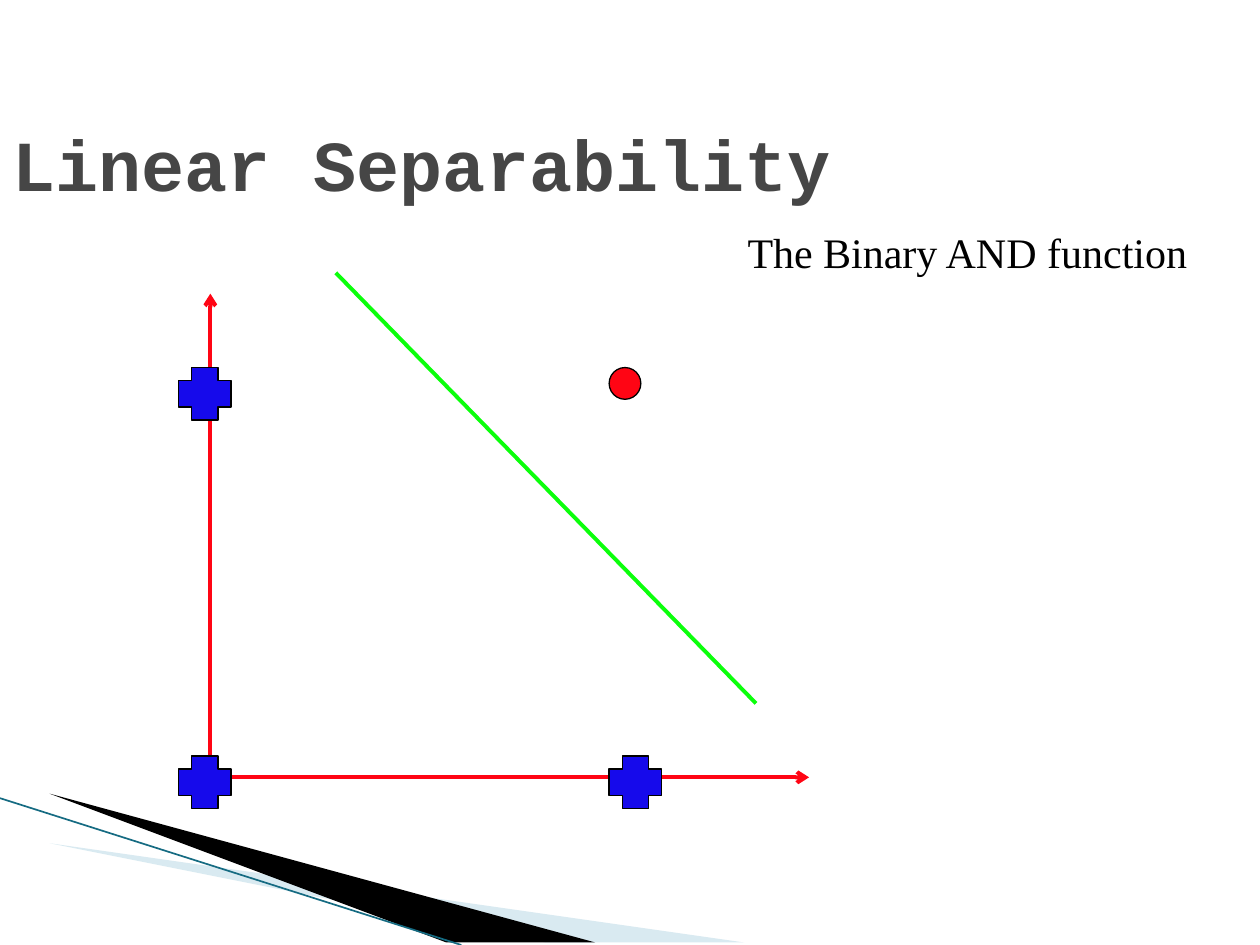
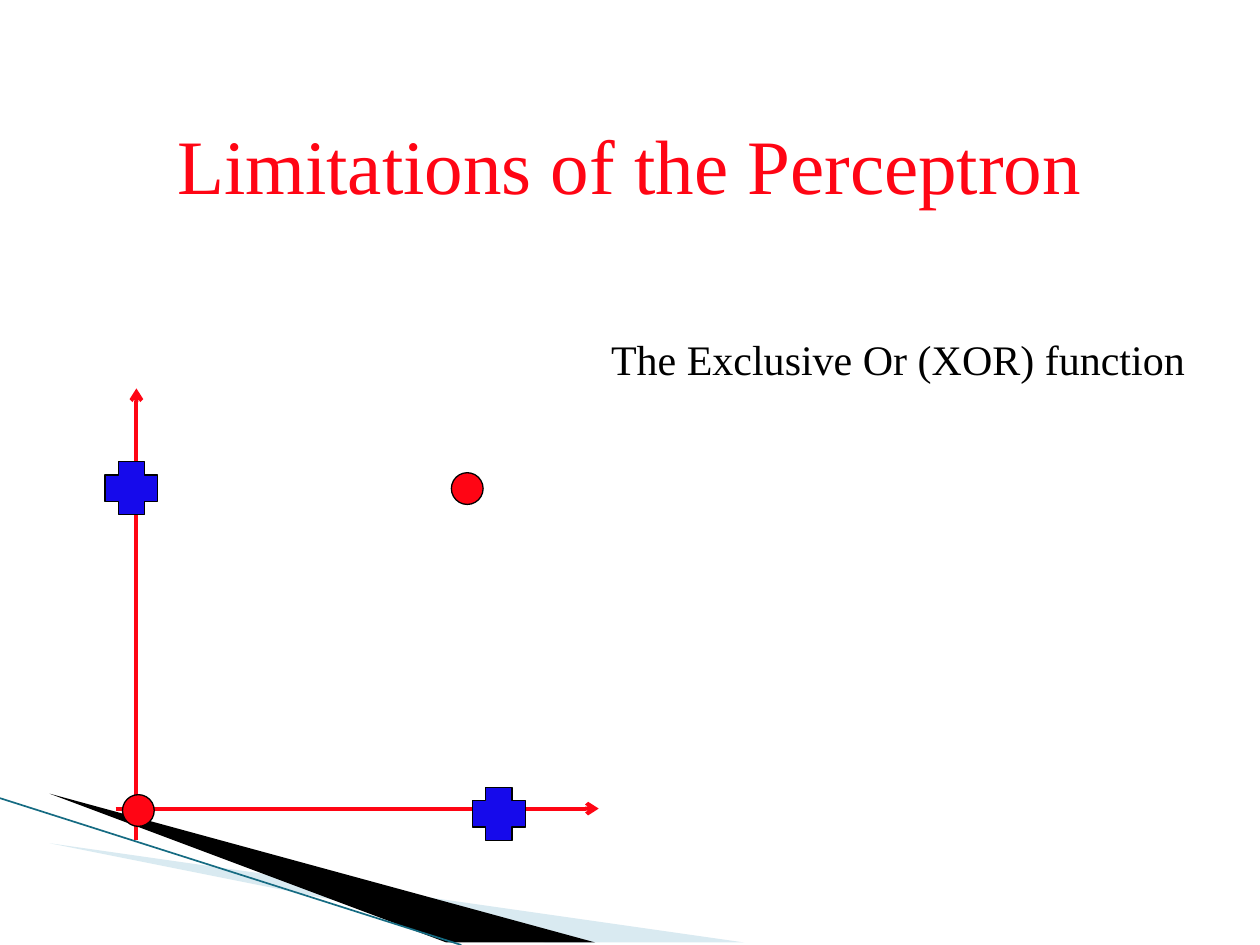
from pptx import Presentation
from pptx.dml.color import RGBColor
from pptx.enum.shapes import MSO_CONNECTOR, MSO_SHAPE
from pptx.enum.text import MSO_ANCHOR, MSO_AUTO_SIZE, PP_ALIGN
from pptx.oxml.ns import qn
from pptx.util import Cm, Pt
from lxml.etree import SubElement

# Theme: colours, type and line widths
THEME = {
    "red": RGBColor(0xFF, 0x05, 0x14),
    "blue": RGBColor(0x16, 0x0A, 0xEB),
    "green": RGBColor(0x0B, 0xFF, 0x0B),
    "black": RGBColor(0, 0, 0),
    "pale": RGBColor(0xD9, 0xEA, 0xF1),
    "teal": RGBColor(0x15, 0x6B, 0x82),
    "mono_title": {"name": "Courier New", "size": Pt(41), "bold": True},
    "serif_title": {"name": "Times New Roman", "size": Pt(44), "bold": False},
    "caption": {"name": "Times New Roman", "size": Pt(24), "bold": False},
    "grey": RGBColor(0x46, 0x46, 0x46),
    "axis_width": 2.25,
    "outline_width": 0.75,
}

# Marker kinds: preset shape, side in cm, fill
MARKERS = {
    "cross": (MSO_SHAPE.CROSS, 1.06, THEME["blue"]),
    "dot": (MSO_SHAPE.OVAL, 0.64, THEME["red"]),
}

# Slide content, lengths in cm
SLIDES = [
    {
        "title": "Linear Separability",
        "title_left": 0,
        "title_font": THEME["mono_title"],
        "title_color": THEME["grey"],
        "title_align": PP_ALIGN.LEFT,
        "caption": "The Binary AND function",
        "caption_box": (14.82, 4.45, 9.95, 1.3),
        "axes": [(4.24, 16.31, 4.24, 5.92), (3.81, 15.67, 16.31, 15.67)],
        "markers": [("cross", 3.6, 7.41), ("cross", 12.28, 15.24),
                    ("cross", 3.6, 15.24), ("dot", 12.28, 7.41)],
        "separator": (15.24, 14.18, 6.77, 5.5),
    },
    {
        "title": "Limitations of the Perceptron",
        "title_left": 1.9,
        "title_font": THEME["serif_title"],
        "title_color": THEME["red"],
        "title_align": PP_ALIGN.CENTER,
        "caption": "The Exclusive Or (XOR) function",
        "caption_box": (12.07, 6.6, 12.4, 2.67),
        "axes": [(2.75, 16.93, 2.75, 7.83), (2.33, 16.3, 12.07, 16.3)],
        "markers": [("cross", 2.12, 9.31), ("cross", 9.53, 15.88),
                    ("dot", 9.1, 9.53), ("dot", 2.47, 16.02)],
        "separator": None,
    },
]


def add_line(s, ends, color, width, arrow=False):
    line = s.shapes.add_connector(MSO_CONNECTOR.STRAIGHT, *map(Cm, ends))
    line.line.color.rgb = color
    line.line.width = Pt(width)
    if arrow:
        SubElement(line.line._get_or_add_ln(), qn("a:tailEnd"), type="arrow")
    SubElement(line.element.spPr, qn("a:effectLst"))
    return line


def write(tf, text, font, color, align, anchor):
    frame = {"word_wrap": True, "auto_size": MSO_AUTO_SIZE.NONE,
             "vertical_anchor": anchor}
    for key, value in frame.items():
        setattr(tf, key, value)
    p = tf.paragraphs[0]
    p.alignment = align
    r = p.add_run()
    r.text = text
    for key, value in font.items():
        setattr(r.font, key, value)
    r.font.color.rgb = color


prs = Presentation()
prs.slide_width, prs.slide_height = Cm(25.4), Cm(19.05)
layout = prs.slide_layouts.get_by_name("Title Only")
slides = [prs.slides.add_slide(layout) for _ in SLIDES]

# Corner bands, drawn once and moved to the shared layout
bands = [
    (THEME["pale"], [(1.4, 16.52), (15, 19.05), (11.49, 19.05)]),
    (THEME["black"], [(1.35, 16.48), (11.5, 19.05), (9.3, 19.05)]),
]
corner = []
for color, points in bands:
    outline = slides[0].shapes.build_freeform(*points[0], scale=Cm(1))
    outline.add_line_segments(points[1:])
    band = outline.convert_to_shape()
    band.shadow.inherit = False
    band.fill.solid()
    band.fill.fore_color.rgb = color
    band.line.fill.background()
    corner.append(band)
corner.append(add_line(slides[0], (0, 16.09, 9.3, 19.05), THEME["teal"], 0.95))
for part in corner:
    layout.shapes.element.append(part.element)

for s, content in zip(slides, SLIDES):
    # Title
    title = s.shapes.title
    title.left, title.top = Cm(content["title_left"]), Cm(1.7)
    title.width, title.height = Cm(21.59), Cm(3.18)
    write(title.text_frame, content["title"], content["title_font"],
          content["title_color"], content["title_align"], MSO_ANCHOR.MIDDLE)

    # Axes
    for ends in content["axes"]:
        add_line(s, ends, THEME["red"], THEME["axis_width"], arrow=True)

    # Data points
    for kind, left, top in content["markers"]:
        preset, side, color = MARKERS[kind]
        sp = s.shapes.add_shape(preset, Cm(left), Cm(top), Cm(side), Cm(side))
        sp.shadow.inherit = False
        sp.fill.solid()
        sp.fill.fore_color.rgb = color
        sp.line.color.rgb = THEME["black"]
        sp.line.width = Pt(THEME["outline_width"])

    # Separating line
    if content["separator"]:
        add_line(s, content["separator"], THEME["green"], THEME["axis_width"])

    # Caption
    box = s.shapes.add_textbox(*map(Cm, content["caption_box"]))
    write(box.text_frame, content["caption"], THEME["caption"],
          THEME["black"], PP_ALIGN.LEFT, MSO_ANCHOR.TOP)

prs.save("out.pptx")
